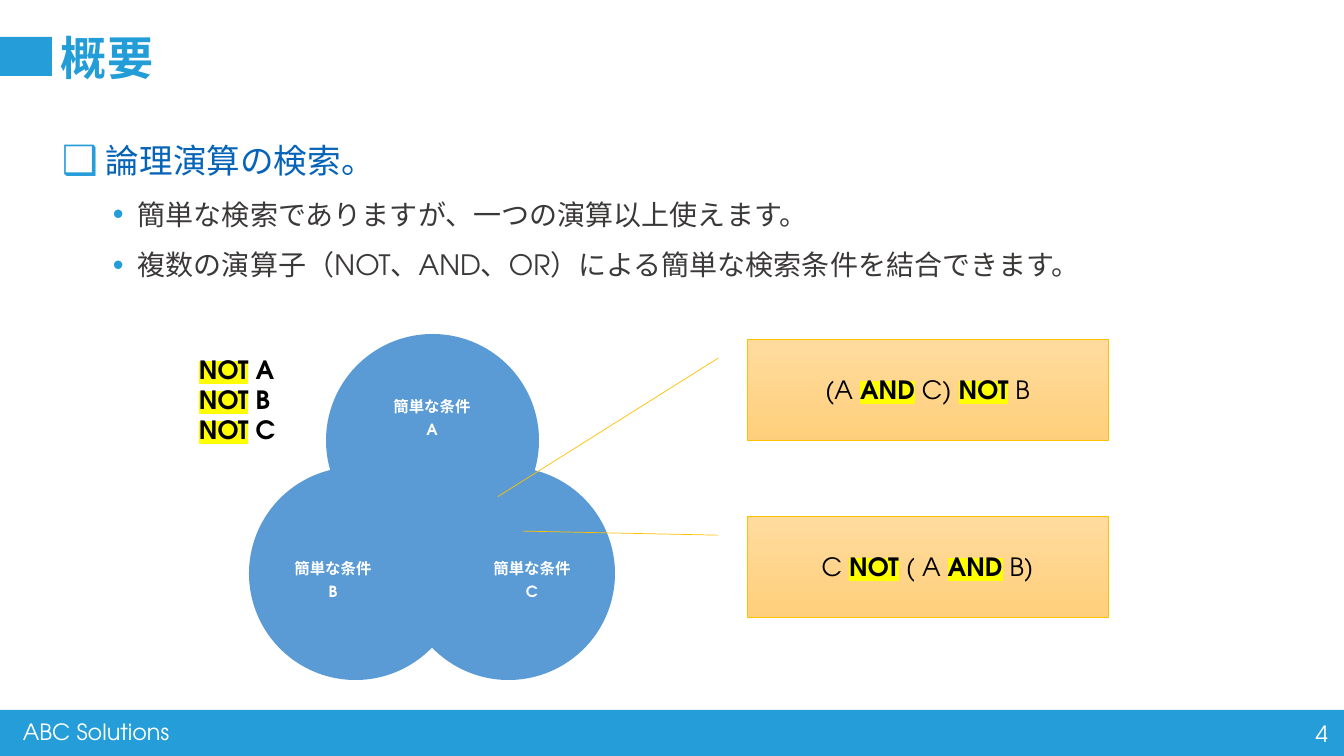
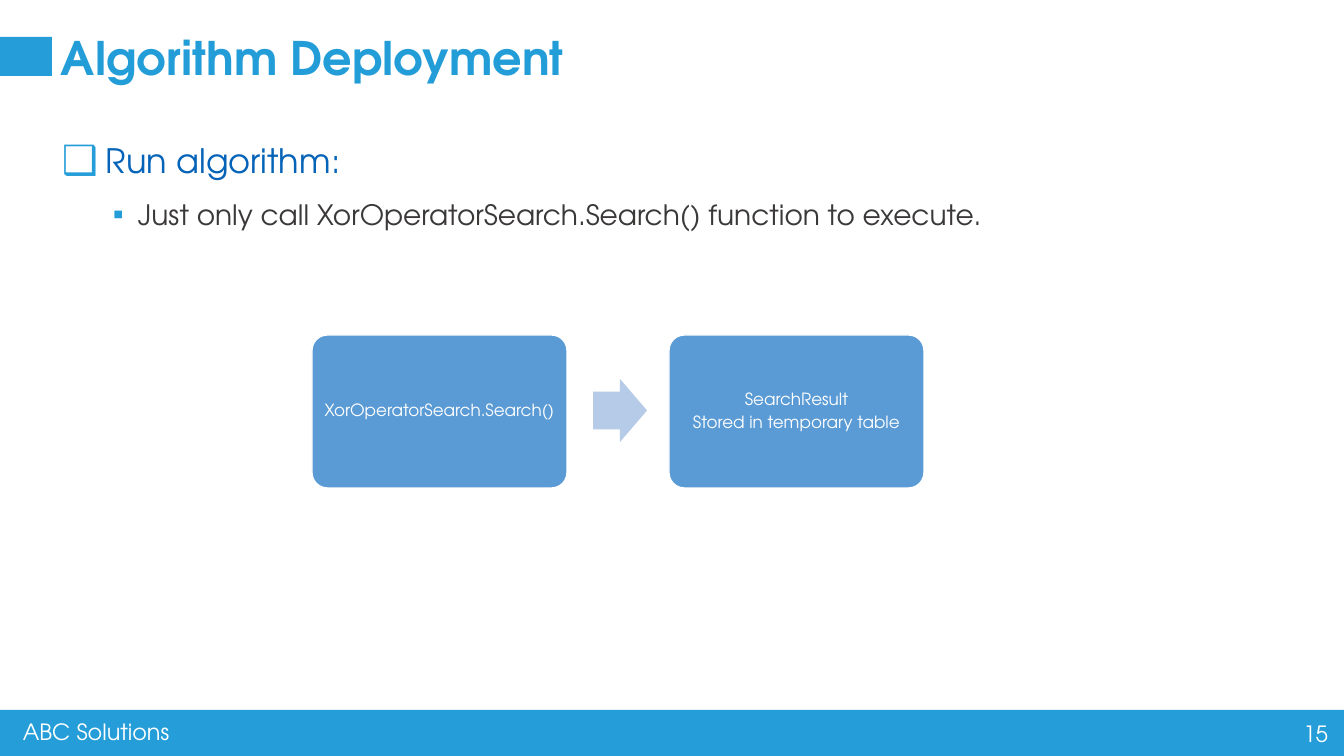
from lxml.etree import SubElement
from pptx import Presentation
from pptx.dml.color import RGBColor
from pptx.enum.shapes import MSO_SHAPE as SHAPE
from pptx.enum.text import MSO_ANCHOR as ANCHOR, PP_ALIGN as ALIGN
from pptx.oxml.ns import qn
from pptx.oxml.xmlchemy import OxmlElement
from pptx.util import Pt

PX = 12192000 / 1344
FONT = "TeX Gyre Adventor"
BLUE, TITLE, HEADING, BODY = "249DD8", "229DD8", "0563B8", "3B3838"
NODE, ARROW, GOLD = "5B9BD5", "B5CBE7", "FFC000"
WHITE, BLACK, YELLOW = "FFFFFF", "000000", "FFFF00"
rgb = RGBColor.from_string


def add_box(page, kind, place, fill=None):
    """Add a flat shape, or a text box when kind is None."""
    place = [round(value * PX) for value in place]
    if kind is None:
        box = page.shapes.add_textbox(*place)
    else:
        box = page.shapes.add_shape(kind, *place)
        box.shadow.inherit = False
        box.line.fill.background()
    if fill:
        box.fill.solid()
        box.fill.fore_color.rgb = rgb(fill)
    box.text_frame.word_wrap = True
    return box


def write(box, lines, size, color, bold=False, align=ALIGN.LEFT,
          anchor=ANCHOR.TOP, spacing=1.0, after=0, inset=None):
    """Write one paragraph a line; words between asterisks are highlighted."""
    frame = box.text_frame
    frame.vertical_anchor = anchor
    if inset is not None:
        frame.margin_left = frame.margin_right = round(inset * PX)
        frame.margin_top = frame.margin_bottom = round(inset * PX)
    for index, line in enumerate(lines):
        para = frame.add_paragraph() if index else frame.paragraphs[0]
        para.alignment, para.line_spacing = align, spacing
        para.space_after = Pt(after)
        font = para.font
        font.name, font.size, font.bold = FONT, Pt(size), bold
        font.color.rgb = rgb(color)
        for part, words in enumerate(line.split("*")):
            if not words:
                continue
            span = para.add_run()
            span.text = words
            if part % 2:
                span.font.bold = True
                mark = SubElement(span.font._element, qn("a:highlight"))
                SubElement(mark, qn("a:srgbClr"), val=YELLOW)


deck = Presentation()
deck.slide_width, deck.slide_height = round(1344 * PX), round(756 * PX)

# Title, number, body width, sub-bullet, heading and points of each slide
contents = [
    ("概要", "4", 1016, "•", "論理演算の検索。",
     ["簡単な検索でありますが、一つの演算以上使えます。",
      "複数の演算子（NOT、AND、OR）による簡単な検索条件を結合できます。"]),
    ("Algorithm Deployment", "15", 960, "▪", "Run algorithm:",
     ["Just only call XorOperatorSearch.Search() function to execute."]),
]

# Shared frame and bulleted body
pages = []
for title, number, width, dot, heading, points in contents:
    page = deck.slides.add_slide(deck.slide_layouts[6])
    pages.append(page)
    add_box(page, SHAPE.RECTANGLE, (-2, 710, 1350, 48), BLUE)
    write(add_box(page, None, (13, 713, 423, 37)), ["ABC Solutions"], 16, WHITE)
    write(add_box(page, None, (1036, 715, 302, 40)), [number], 16, WHITE,
          align=ALIGN.RIGHT)
    add_box(page, SHAPE.RECTANGLE, (0, 37, 52, 39), BLUE)
    write(add_box(page, None, (51, 31, 1291, 48)), [title], 33, TITLE,
          bold=True, spacing=0.9)

    body = add_box(page, None, (52, 115, width, 145))
    write(body, [heading, *points], 20, BODY, spacing=1.5)
    paras = body.text_frame.paragraphs
    paras[0].font.size = Pt(24)
    paras[0].font.color.rgb = rgb(HEADING)
    for index, para in enumerate(paras):
        char, percent, left, hang = (dot, 110, 76, 25) if index else ("❑", 120, 44, 44)
        props = para._p.get_or_add_pPr()
        props.set("marL", str(round(left * PX)))
        props.set("indent", str(round(-hang * PX)))
        tint = OxmlElement("a:buClr")
        SubElement(tint, qn("a:srgbClr"), val=BLUE)
        scale = OxmlElement("a:buSzPct")
        scale.set("val", str(percent * 1000))
        face = OxmlElement("a:buFont")
        face.set("typeface", "Arial")
        bullet = OxmlElement("a:buChar")
        bullet.set("char", char)
        for element in (tint, scale, face, bullet):
            props.find(qn("a:defRPr")).addprevious(element)

venn_page, flow_page = pages

# Three overlapping conditions: circle corner, then label centre
conditions = [("A", 326, 334, 432, 419), ("C", 402, 467, 532, 581),
              ("B", 249, 467, 333, 581)]
for name, left, top, center, middle in conditions:
    add_box(venn_page, SHAPE.OVAL, (left, top, 213, 213), NODE)
    label = add_box(venn_page, None, (center - 64, middle - 50, 128, 100))
    write(label, ["簡単な条件", name], 11, WHITE, bold=True, align=ALIGN.CENTER,
          anchor=ANCHOR.MIDDLE, spacing=0.9, after=4, inset=0)

write(add_box(venn_page, None, (189, 349, 120, 102)),
      [f"*NOT* {name}" for name in "ABC"], 18, BLACK, bold=True)

# Callouts for the combined expressions
callouts = [(339, "(A *AND* C) *NOT* B", (0.19, -0.08, 1.56, -0.69)),
            (516, "C *NOT* ( A *AND* B)", (0.19, -0.08, 0.15, -0.62))]
for top, expression, pointer in callouts:
    callout = add_box(venn_page, SHAPE.LINE_CALLOUT_1, (747, top, 361, 101))
    for index, value in enumerate(pointer):
        callout.adjustments[index] = value
    callout.fill.gradient()
    callout.fill.gradient_angle = 270
    for stop, color in zip(callout.fill.gradient_stops, ("FFDB9E", "FFD07C")):
        stop.color.rgb = rgb(color)
    callout.line.color.rgb = rgb(GOLD)
    callout.line.width = Pt(0.5)
    write(callout, [expression], 18, BLACK, align=ALIGN.CENTER,
          anchor=ANCHOR.MIDDLE)

# Two-step flow
steps = [["XorOperatorSearch.Search()"],
         ["SearchResult", "Stored in temporary table"]]
for index, lines in enumerate(steps):
    step = add_box(flow_page, SHAPE.ROUNDED_RECTANGLE,
                   (312 + index * 357, 335, 255, 153), NODE)
    step.adjustments[0] = 0.1
    step.line.color.rgb = rgb(WHITE)
    step.line.width = Pt(1)
    write(step, lines, 12, WHITE, align=ALIGN.CENTER, anchor=ANCHOR.MIDDLE,
          spacing=0.9, after=4, inset=5)
arrow = add_box(flow_page, SHAPE.RIGHT_ARROW, (593, 379, 54, 63), ARROW)
arrow.adjustments[0] = 0.6

deck.save("out.pptx")
